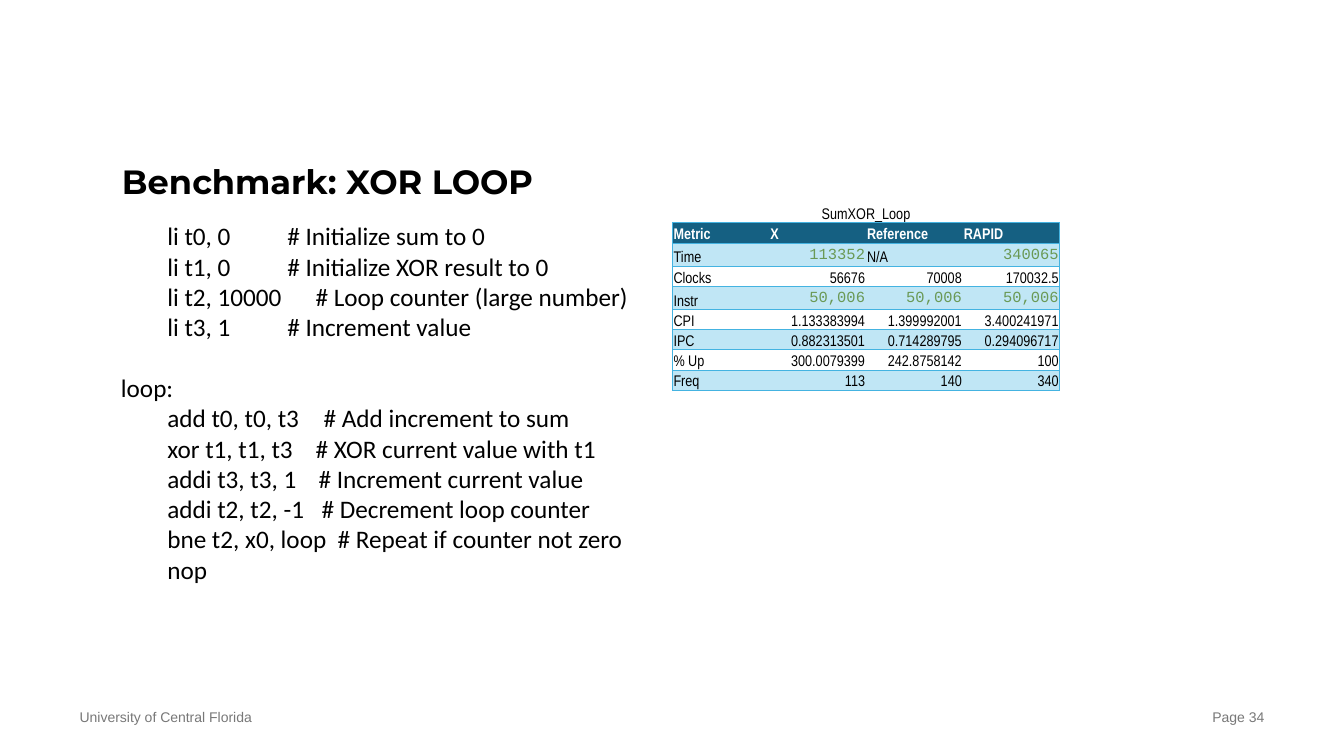
from lxml.etree import SubElement
from pptx import Presentation
from pptx.dml.color import RGBColor
from pptx.enum.text import MSO_ANCHOR, MSO_AUTO_SIZE, PP_ALIGN
from pptx.oxml.ns import qn
from pptx.util import Inches, Pt

TITLE = "Benchmark: XOR LOOP"
CODE = [
    ("li t0, 0", "# Initialize sum to 0", 1.65),
    ("li t1, 0", "# Initialize XOR result to 0", 1.65),
    ("li t2, 10000", "# Loop counter (large number)", 1.93),
    ("li t3, 1", "# Increment value", 1.65),
    ("loop:", "", 0),
    ("add t0, t0, t3", "# Add increment to sum", 2.01),
    ("xor t1, t1, t3", "# XOR current value with t1", 1.93),
    ("addi t3, t3, 1", "# Increment current value", 1.96),
    ("addi t2, t2, -1", "# Decrement loop counter", 1.99),
    ("bne t2, x0, loop", "# Repeat if counter not zero", 2.15),
    ("nop", "", 0),
]
CAPTION = "SumXOR_Loop"
METRICS = [
    ("Metric", "X", "Reference", "RAPID"),
    ("Time", "113352", "N/A", "340065"),
    ("Clocks", "56676", "70008", "170032.5"),
    ("Instr", "50,006", "50,006", "50,006"),
    ("CPI", "1.133383994", "1.399992001", "3.400241971"),
    ("IPC", "0.882313501", "0.714289795", "0.294096717"),
    ("% Up", "300.0079399", "242.8758142", "100"),
    ("Freq", "113", "140", "340"),
]
MEASURED = ("Time", "Instr")
FOOTERS = [
    ("University of Central Florida", 0.79, PP_ALIGN.LEFT),
    ("Page 34", 10.3, PP_ALIGN.RIGHT),
]
CODE_INDENT = 0.46
COL_W, ROW_H, TALL_ROW_H = 0.96, 0.2, 0.23
BLACK, GRAY, WHITE, GREEN = "000000", "787878", "FFFFFF", "6A9955"
HEADER, BAND, BORDER = "156082", "C0E6F5", "44B3E1"
NO_STYLE = "{2D5ABB26-0587-4C30-8999-92F81FD0307C}"


def rgb(color):
    return RGBColor.from_string(color)


def style(p, font, size, color, bold=False, align=PP_ALIGN.LEFT):
    p.alignment = align
    for r in p.runs:
        r.font.name, r.font.size, r.font.bold = font, Pt(size), bold
        r.font.color.rgb = rgb(color)


def set_frame(tf, anchor=MSO_ANCHOR.TOP):
    tf.margin_left = tf.margin_right = tf.margin_top = tf.margin_bottom = 0
    tf.word_wrap = True
    tf.auto_size = MSO_AUTO_SIZE.NONE
    tf.vertical_anchor = anchor


def add_text(s, x, y, w, h):
    tf = s.shapes.add_textbox(Inches(x), Inches(y), Inches(w), Inches(h)).text_frame
    set_frame(tf)
    return tf


def add_tabs(p, stops):
    tabs = SubElement(p._p.get_or_add_pPr(), qn("a:tabLst"))
    for stop in stops:
        SubElement(tabs, qn("a:tab"), pos=str(Inches(stop)), algn="l")


def add_borders(cell, sides):
    for side in sides:
        ln = SubElement(cell._tc.get_or_add_tcPr(), qn("a:ln" + side), w=str(Pt(0.5)))
        SubElement(SubElement(ln, qn("a:solidFill")), qn("a:srgbClr"), val=BORDER)


def set_cell(cell, text, sides, fill=None, color=BLACK, font="Arial Narrow",
             bold=False, align=PP_ALIGN.LEFT, anchor=MSO_ANCHOR.BOTTOM):
    cell.text_frame.text = text
    style(cell.text_frame.paragraphs[0], font, 11, color, bold, align)
    cell.margin_left = cell.margin_right = cell.margin_top = Inches(0.01)
    cell.margin_bottom = 0
    cell.vertical_anchor = anchor
    add_borders(cell, sides)
    if fill:
        cell.fill.solid()
        cell.fill.fore_color.rgb = rgb(fill)
    else:
        cell.fill.background()


def add_code(s):
    tf = add_text(s, 1.2, 2.19, 5.47, 3.64)
    for i, (code, comment, stop) in enumerate(CODE):
        p = tf.paragraphs[0] if i == 0 else tf.add_paragraph()
        if code.endswith(":"):
            p.text = code
            p.space_before = Pt(22)
        else:
            p.text = f"\t{code}\t{comment}" if comment else f"\t{code}"
            add_tabs(p, [CODE_INDENT, stop] if comment else [CODE_INDENT])
        style(p, "Calibri", 18, BLACK)


def add_metrics(s):
    rows, cols = len(METRICS) + 1, len(METRICS[0])
    frame = s.shapes.add_table(rows, cols, Inches(6.67), Inches(2.01),
                               Inches(cols * COL_W), Inches(rows * ROW_H))
    table = frame.table
    table.first_row = table.horz_banding = False
    table._tbl.tblPr.find(qn("a:tableStyleId")).text = NO_STYLE
    for col in table.columns:
        col.width = Inches(COL_W)
    table.rows[0].height = Inches(ROW_H)
    table.cell(0, 0).merge(table.cell(0, cols - 1))
    set_cell(table.cell(0, 0), CAPTION, "B", align=PP_ALIGN.CENTER)
    for i, values in enumerate(METRICS):
        measured = values[0] in MEASURED
        table.rows[i + 1].height = Inches(TALL_ROW_H if measured else ROW_H)
        for j, value in enumerate(values):
            sides = "L" * (j == 0) + "R" * (j == cols - 1) + "TB"
            cell = table.cell(i + 1, j)
            if i == 0:
                set_cell(cell, value, sides, HEADER, WHITE, bold=True)
                continue
            fill = BAND if i % 2 else None
            if j == 0 or value == "N/A":
                set_cell(cell, value, sides, fill)
            elif measured:
                set_cell(cell, value, sides, fill, GREEN, "Courier New",
                         align=PP_ALIGN.RIGHT, anchor=MSO_ANCHOR.MIDDLE)
            else:
                set_cell(cell, value, sides, fill, align=PP_ALIGN.RIGHT)


def main():
    prs = Presentation()
    prs.slide_width, prs.slide_height = Inches(13.33), Inches(7.5)
    s = prs.slides.add_slide(prs.slide_layouts[5])
    for text, x, align in FOOTERS:
        tf = add_text(s, x, 7.03, 2.24, 0.17)
        tf.text = text
        style(tf.paragraphs[0], "Arial", 10, GRAY, align=align)
    title = s.shapes.title
    title.left, title.top = Inches(1.21), Inches(1.21)
    title.width, title.height = Inches(4.93), Inches(0.79)
    title.text_frame.text = TITLE
    set_frame(title.text_frame, MSO_ANCHOR.BOTTOM)
    style(title.text_frame.paragraphs[0], "Montserrat", 24, BLACK, bold=True)
    add_metrics(s)
    add_code(s)
    prs.save("out.pptx")


if __name__ == "__main__":
    main()
